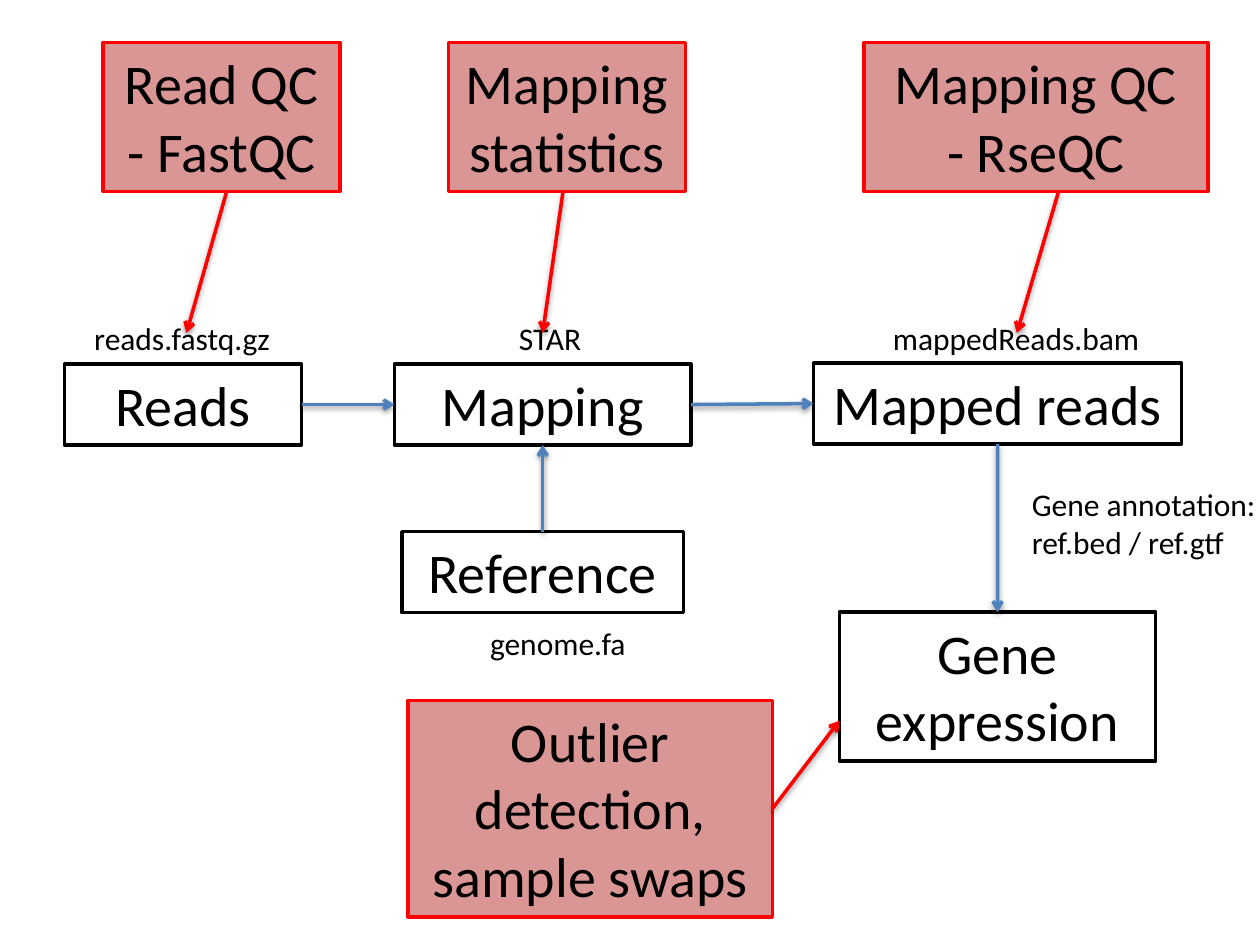
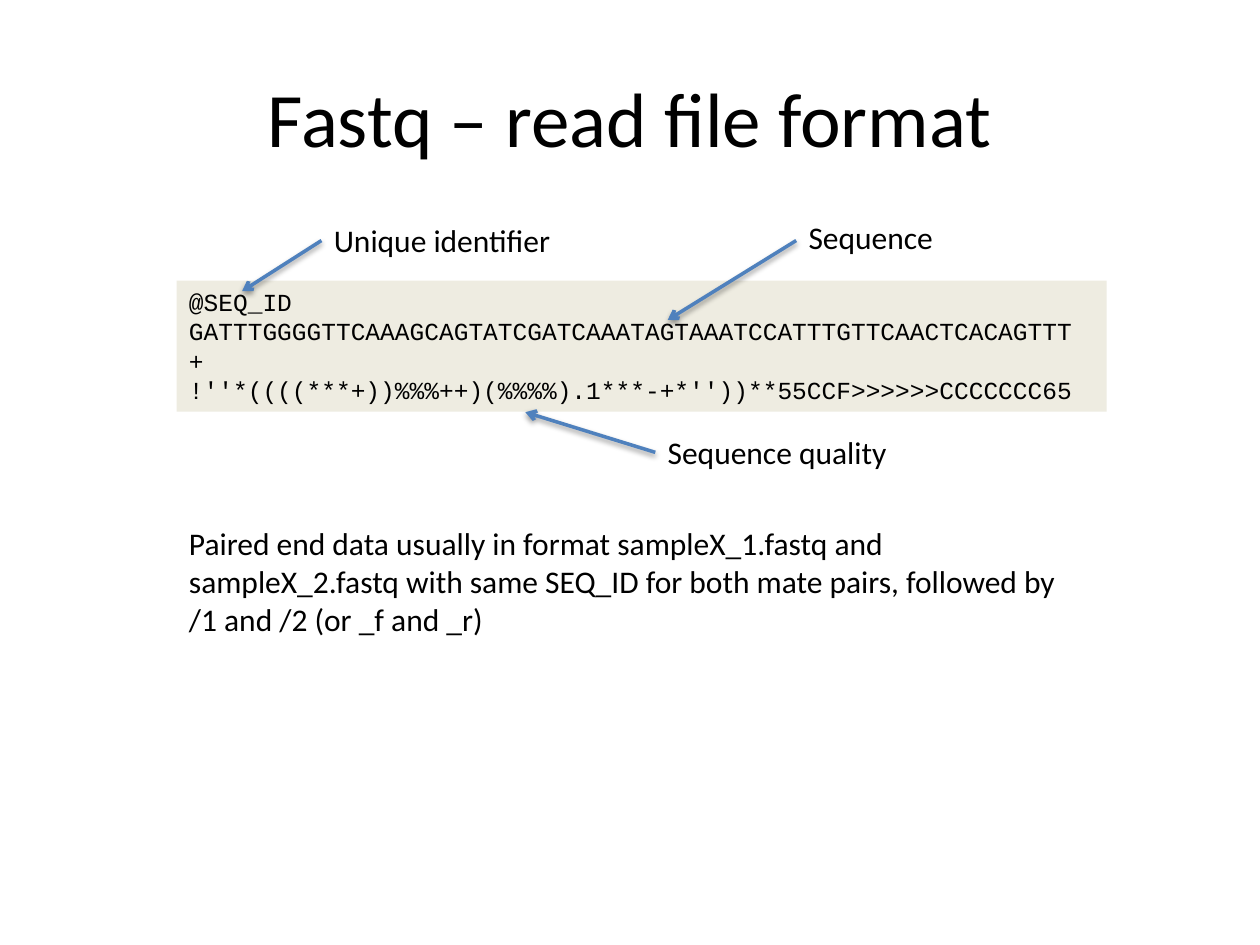
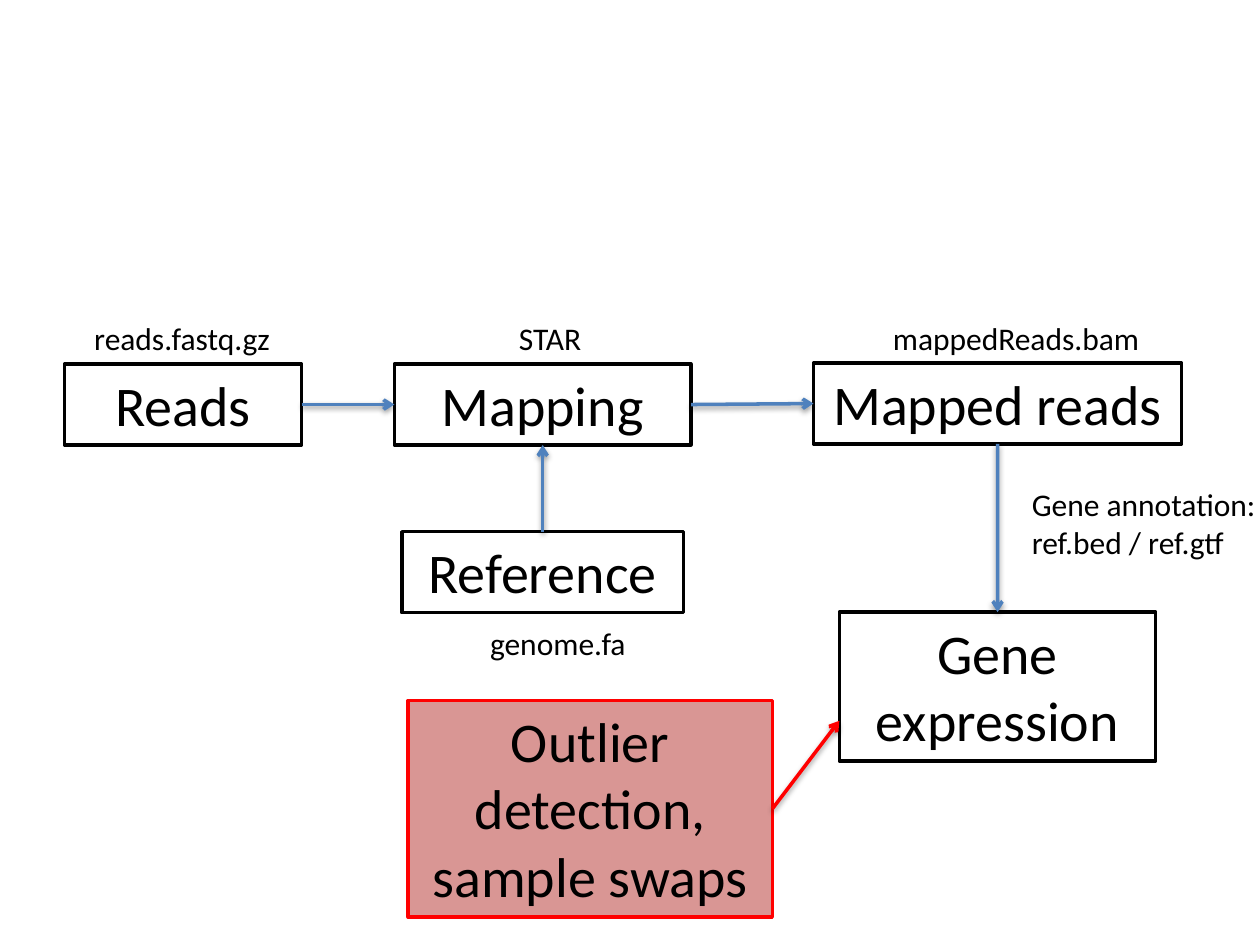
"""Builds three slides on read mapping, its quality checks and the Fastq format."""
from lxml.etree import SubElement
from pptx import Presentation
from pptx.dml.color import RGBColor
from pptx.enum.shapes import MSO_CONNECTOR as Wire, MSO_SHAPE as Form
from pptx.enum.text import MSO_ANCHOR as Anchor, PP_ALIGN as Align
from pptx.oxml.ns import qn
from pptx.util import Cm, Pt

BLACK = RGBColor(0x00, 0x00, 0x00)
WHITE = RGBColor(0xFF, 0xFF, 0xFF)
BLUE = RGBColor(0x4F, 0x81, 0xBD)
RED = RGBColor(0xFF, 0x00, 0x00)
PINK = RGBColor(0xD9, 0x96, 0x94)
SAND = RGBColor(0xEE, 0xEC, 0xE1)
SANS = "Calibri"
MONO = "Courier New"


class Deck:
    """Holds the style and the current slide."""

    def __init__(self):
        self.show = Presentation()
        self.show.slide_width, self.show.slide_height = Cm(25.4), Cm(19.05)

    def page(self):
        self.shapes = self.show.slides.add_slide(self.show.slide_layouts[6]).shapes

    def style(self, frame, text, size, align=Align.LEFT, face=SANS):
        frame.text = text
        for para in frame.paragraphs:
            para.alignment = align
            para.font.name, para.font.size = face, Pt(size)
            para.font.color.rgb = BLACK

    def rect(self, x, y, w, h, fill, edge=None):
        shape = self.shapes.add_shape(Form.RECTANGLE, Cm(x), Cm(y), Cm(w), Cm(h))
        shape.shadow.inherit = False
        shape.fill.solid()
        shape.fill.fore_color.rgb = fill
        if edge is None:
            shape.line.fill.background()
        else:
            shape.line.color.rgb, shape.line.width = edge, Pt(2)
        shape.text_frame.word_wrap = True
        shape.text_frame.vertical_anchor = Anchor.TOP
        return shape

    def step(self, text, x, y, w, h=1.63, fill=WHITE, edge=BLACK):
        shape = self.rect(x, y, w, h, fill, edge)
        self.style(shape.text_frame, text, 32, Align.CENTER)
        return shape

    def check(self, text, x, y, w, h):
        return self.step(text, x, y, w, h, PINK, RED)

    def code(self, text, x, y, w, h):
        shape = self.rect(x, y, w, h, SAND)
        self.style(shape.text_frame, text, 14, face=MONO)

    def label(self, text, x, y, w, h=1.02, wrap=False):
        box = self.shapes.add_textbox(Cm(x), Cm(y), Cm(w), Cm(h))
        box.text_frame.word_wrap = wrap
        self.style(box.text_frame, text, 18)

    def title(self, text):
        box = self.shapes.add_textbox(Cm(1.27), Cm(0.76), Cm(22.86), Cm(3.18))
        box.text_frame.word_wrap = True
        box.text_frame.vertical_anchor = Anchor.MIDDLE
        self.style(box.text_frame, text, 44, Align.CENTER)

    def arrow(self, x1, y1, x2, y2, hue=BLUE):
        line = self.shapes.add_connector(Wire.STRAIGHT, Cm(x1), Cm(y1), Cm(x2), Cm(y2))
        line.line.color.rgb, line.line.width = hue, Pt(2)
        props = line._element.spPr
        SubElement(props.find(qn("a:ln")), qn("a:tailEnd"), type="arrow")
        glow = SubElement(SubElement(props, qn("a:effectLst")), qn("a:outerShdw"),
                          blurRad="40000", dist="20000", dir="5400000", rotWithShape="0")
        tint = SubElement(glow, qn("a:srgbClr"), val=str(BLACK))
        SubElement(tint, qn("a:alpha"), val="38000")
        return line

    def join(self, start, side, end, port):
        line = self.arrow(0, 0, 1, 1)
        line.begin_connect(start, side)
        line.end_connect(end, port)

    def flow(self):
        reads = self.step("Reads", 1.3, 7.34, 4.78)
        source = self.step("Reference", 8.1, 10.72, 5.68)
        mapping = self.step("Mapping", 7.95, 7.34, 5.98)
        mapped = self.step("Mapped reads", 16.4, 7.32, 7.42)
        genes = self.step("Gene expression", 16.92, 12.34, 6.38, 3)
        outlier = self.check("Outlier detection, sample swaps", 8.23, 14.12, 7.34, 4.37)
        self.join(source, 0, mapping, 2)
        self.join(reads, 3, mapping, 1)
        self.join(mapping, 3, mapped, 1)
        self.join(mapped, 2, genes, 0)
        self.arrow(15.57, 16.3, 16.92, 14.53, RED).begin_connect(outlier, 3)
        for text, x, w in (("reads.fastq.gz", 1.65, 4.14), ("STAR", 10.21, 1.83),
                           ("mappedReads.bam", 17.75, 5.54)):
            self.label(text, x, 6.3, w)
        self.label("genome.fa", 9.63, 12.45, 3.3)
        self.label("Gene annotation:\nref.bed / ref.gtf", 20.55, 9.65, 5.08, 1.8)


def main():
    deck = Deck()

    deck.page()
    deck.flow()
    for text, x, w, tail, tip in (("Read QC\n- FastQC", 2.08, 4.78, 4.57, 3.76),
                                  ("Mapping statistics", 9.04, 4.78, 11.35, 10.94),
                                  ("Mapping QC\n- RseQC", 17.42, 6.93, 21.34, 20.5)):
        deck.check(text, x, 0.86, w, 3)
        deck.arrow(tail, 3.86, tip, 6.71, RED)

    deck.page()
    deck.title("Fastq – read file format")
    deck.code("@SEQ_ID\n"
              "GATTTGGGGTTCAAAGCAGTATCGATCAAATAGTAAATCCATTTGTTCAACTCACAGTTT\n"
              "+\n"
              "!''*((((***+))%%%++)(%%%%).1***-+*''))**55CCF>>>>>>CCCCCCC65",
              3.56, 5.66, 18.75, 2.64)
    deck.label("Paired end data usually in format sampleX_1.fastq and sampleX_2.fastq "
               "with same SEQ_ID for both mate pairs, followed by\n"
               "/1 and /2 (or _f and _r)", 3.56, 10.44, 18.75, 2.57, True)
    for text, x, y, w, tail, tip in (
            ("Unique identifier", 6.48, 4.34, 4.93, 4.85, (4.88, 5.87)),
            ("Sequence", 16.05, 4.27, 3.05, 4.85, (13.46, 6.45)),
            ("Sequence quality", 13.21, 8.61, 4.98, 9.12, (10.59, 8.31))):
        deck.label(text, x, y, w)
        deck.arrow(x, tail, *tip)

    deck.page()
    deck.flow()

    deck.show.save("out.pptx")


if __name__ == "__main__":
    main()
